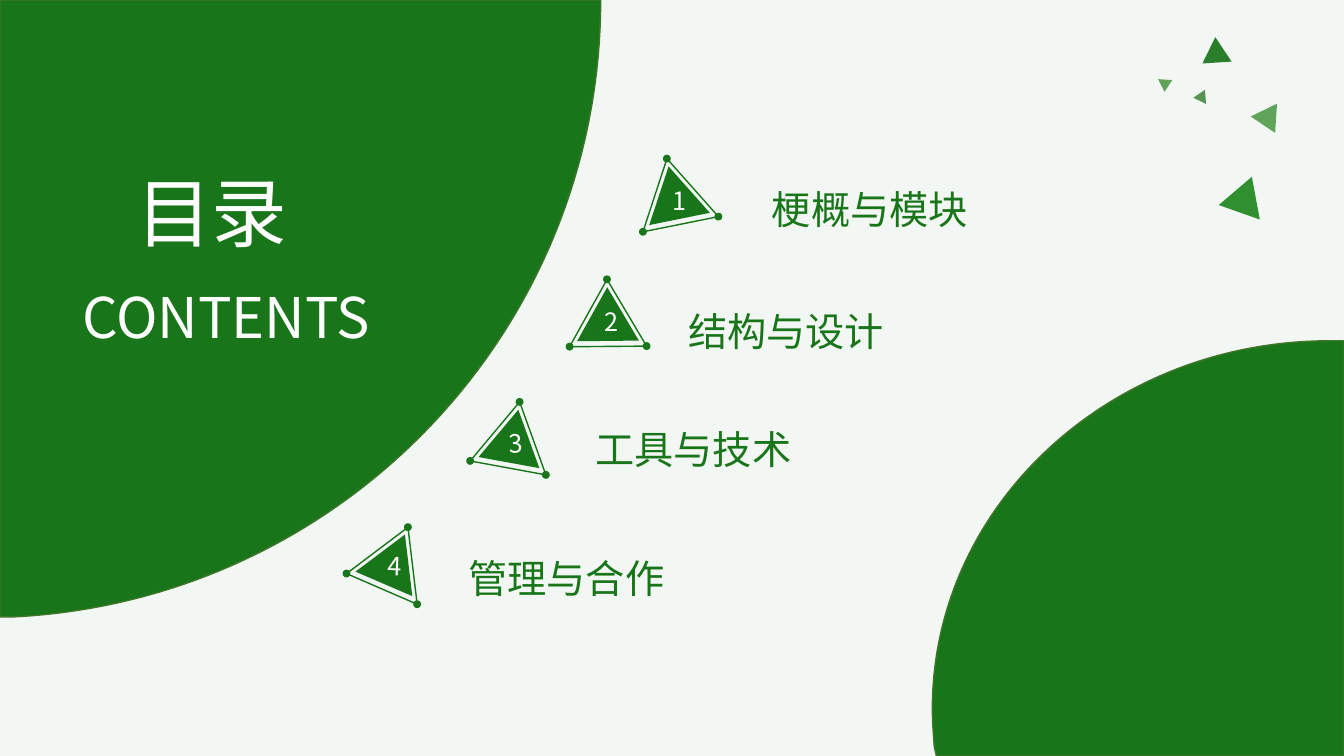
from dataclasses import dataclass
from math import cos, radians, sin

from lxml import etree
from pptx import Presentation
from pptx.dml.color import RGBColor
from pptx.enum.shapes import MSO_SHAPE
from pptx.enum.text import MSO_ANCHOR, MSO_AUTO_SIZE, PP_ALIGN
from pptx.oxml.ns import qn
from pptx.util import Pt

TRIANGLE = MSO_SHAPE.ISOSCELES_TRIANGLE
OVAL = MSO_SHAPE.OVAL
TOP = MSO_ANCHOR.TOP
GROW = MSO_AUTO_SIZE.SHAPE_TO_FIT_TEXT
LEFT, CENTER, JUSTIFY = PP_ALIGN.LEFT, PP_ALIGN.CENTER, PP_ALIGN.JUSTIFY


@dataclass(frozen=True)
class Theme:
    font: str = "Noto Sans CJK SC"
    green: str = "197519"
    edge: str = "3E752A"
    white: str = "FFFFFF"
    background: str = "F2F7F3"
    title: int = 54
    subtitle: int = 40
    item: int = 28
    number: int = 18


THEME = Theme()

OUTER = (55.4, 47.5)
INNER = (44.3, 38.2)
INNER_SHIFT = (0.6, 1.9)
NUMBER_SHIFT = (1.75, 8.2)
NUMBER_BOX = (18, 29)
DOT = 5.6
FIRST_Y, STEP_Y = 149.8, 85.7

ITEMS = [
    ("梗概与模块", 477, 228.4, 0, (544.3, 128.9)),
    ("结构与设计", 427.3, 239.3, 0, (484.6, 216)),
    ("工具与技术", 358.2, 250.2, -3.6, (418.3, 300.2)),
    ("管理与合作", 271.1, 263.2, 2.1, (327.6, 392.4)),
]

CONFETTI = [
    (906.8, 86.8, 20.9, 153.9, "5EA45A"),
    (883.8, 144, 31, 259.5, "309030"),
    (868.7, 35.6, 20.9, 356.2, "2B7E2A"),
    (830.9, 59, 10.1, 303.5, "5EA45A"),
    (859, 70.6, 10.1, 145.8, "559551"),
]

LEFT_DISC = [
    [(0, 0)],
    [(429.1, 0)],
    [(429.1, 236.2), (244.1, 428.4), (10.8, 440.6)],
    [(0, 440.6)],
]
RIGHT_DISC = [
    [(949.7, 243.4)],
    [(960, 243.4)],
    [(960, 540)],
    [(668.9, 540)],
    [(667.4, 533.5)],
    [(666.7, 524.2), (666, 515.5), (666, 506.2)],
    [(666, 360.7), (793.4, 243.4), (949.7, 243.4)],
]


def rgb(color):
    return RGBColor.from_string(color)


def paint(sp, fill=None, line=None):
    sp.shadow.inherit = False
    if fill:
        sp.fill.solid()
        sp.fill.fore_color.rgb = rgb(fill)
    else:
        sp.fill.background()
    if line:
        sp.line.color.rgb = rgb(line)
        sp.line.width = Pt(1)
    else:
        sp.line.fill.background()


def place(sp, x, y, w, h):
    sp.left, sp.top, sp.width, sp.height = Pt(x), Pt(y), Pt(w), Pt(h)


def turned(center, offset, angle):
    x, y = offset
    c, s = cos(radians(angle)), sin(radians(angle))
    return center[0] + x * c - y * s, center[1] + x * s + y * c


def add_centered(shapes, kind, center, size, angle=0, fill=None, line=None):
    w, h = size
    sp = shapes.add_shape(kind, Pt(center[0] - w / 2), Pt(center[1] - h / 2), Pt(w), Pt(h))
    sp.rotation = angle
    paint(sp, fill, line)


def write(sp, text, size, color, align):
    tf = sp.text_frame
    tf.word_wrap = True
    tf.auto_size = GROW
    tf.vertical_anchor = TOP
    tf.text = text
    p = tf.paragraphs[0]
    p.alignment = align
    p.space_before = Pt(0)
    p.line_spacing = 1.0
    p.font.name = THEME.font
    p.font.size = Pt(size)
    p.font.color.rgb = rgb(color)
    font = p._p.get_or_add_pPr().find(qn("a:defRPr"))
    etree.SubElement(font, qn("a:ea"), typeface=THEME.font)


def add_text(shapes, text, x, y, w, h, size, color, align=LEFT):
    sp = shapes.add_textbox(Pt(x), Pt(y), Pt(w), Pt(h))
    write(sp, text, size, color, align)
    return sp


def fill_placeholder(sp, text, box, size):
    sp.element.getparent().append(sp.element)
    place(sp, *box)
    write(sp, text, size, THEME.white, JUSTIFY)


def add_disc(shapes, outline):
    corners = [(Pt(x), Pt(y)) for segment in outline for x, y in segment]
    builder = shapes.build_freeform(*corners[0])
    builder.add_line_segments(corners[1:], close=True)
    sp = builder.convert_to_shape()
    lines = iter(list(sp.element.iter(qn("a:lnTo"))))
    for segment in outline[1:]:
        steps = [next(lines) for _ in segment]
        if len(steps) == 3:
            curve = etree.Element(qn("a:cubicBezTo"))
            steps[0].addprevious(curve)
            for step in steps:
                curve.append(step[0])
                step.getparent().remove(step)
    paint(sp, THEME.green, THEME.edge)


def add_marker(s, number, center, angle, tilt):
    shapes = s.shapes.add_group_shape().shapes
    add_centered(shapes, TRIANGLE, center, OUTER, angle, line=THEME.green)
    inner = turned(center, INNER_SHIFT, angle)
    add_centered(shapes, TRIANGLE, inner, INNER, angle, fill=THEME.green)
    w, h = OUTER
    for corner in ((-w / 2, h / 2), (0, -h / 2), (w / 2, h / 2)):
        add_centered(shapes, OVAL, turned(center, corner, angle), (DOT, DOT), fill=THEME.green)
    x, y = turned(center, NUMBER_SHIFT, angle)
    w, h = NUMBER_BOX
    sp = add_text(shapes, str(number), x - w / 2, y - h / 2, w, h,
                  THEME.number, THEME.white, CENTER)
    sp.rotation = tilt


def main():
    prs = Presentation()
    prs.slide_width, prs.slide_height = Pt(960), Pt(540)
    s = prs.slides.add_slide(prs.slide_layouts[0])
    s.background.fill.solid()
    s.background.fill.fore_color.rgb = rgb(THEME.background)

    for x, y, width, angle, color in CONFETTI:
        add_centered(s.shapes, TRIANGLE, (x, y), (width, width * 0.87), angle, fill=color)

    for i, (label, x, angle, tilt, (label_x, label_y)) in enumerate(ITEMS):
        add_text(s.shapes, label, label_x, label_y, 359.3, 41, THEME.item, THEME.green)
        add_marker(s, i + 1, (x, FIRST_Y + STEP_Y * i), angle, tilt)

    add_disc(s.shapes, LEFT_DISC)
    fill_placeholder(s.shapes.title, "目录", (90, 115.2, 149.8, 72.7), THEME.title)
    fill_placeholder(s.placeholders[1], "CONTENTS", (51.8, 198, 242.6, 55.4), THEME.subtitle)
    add_disc(s.shapes, RIGHT_DISC)
    prs.save("out.pptx")


if __name__ == "__main__":
    main()
